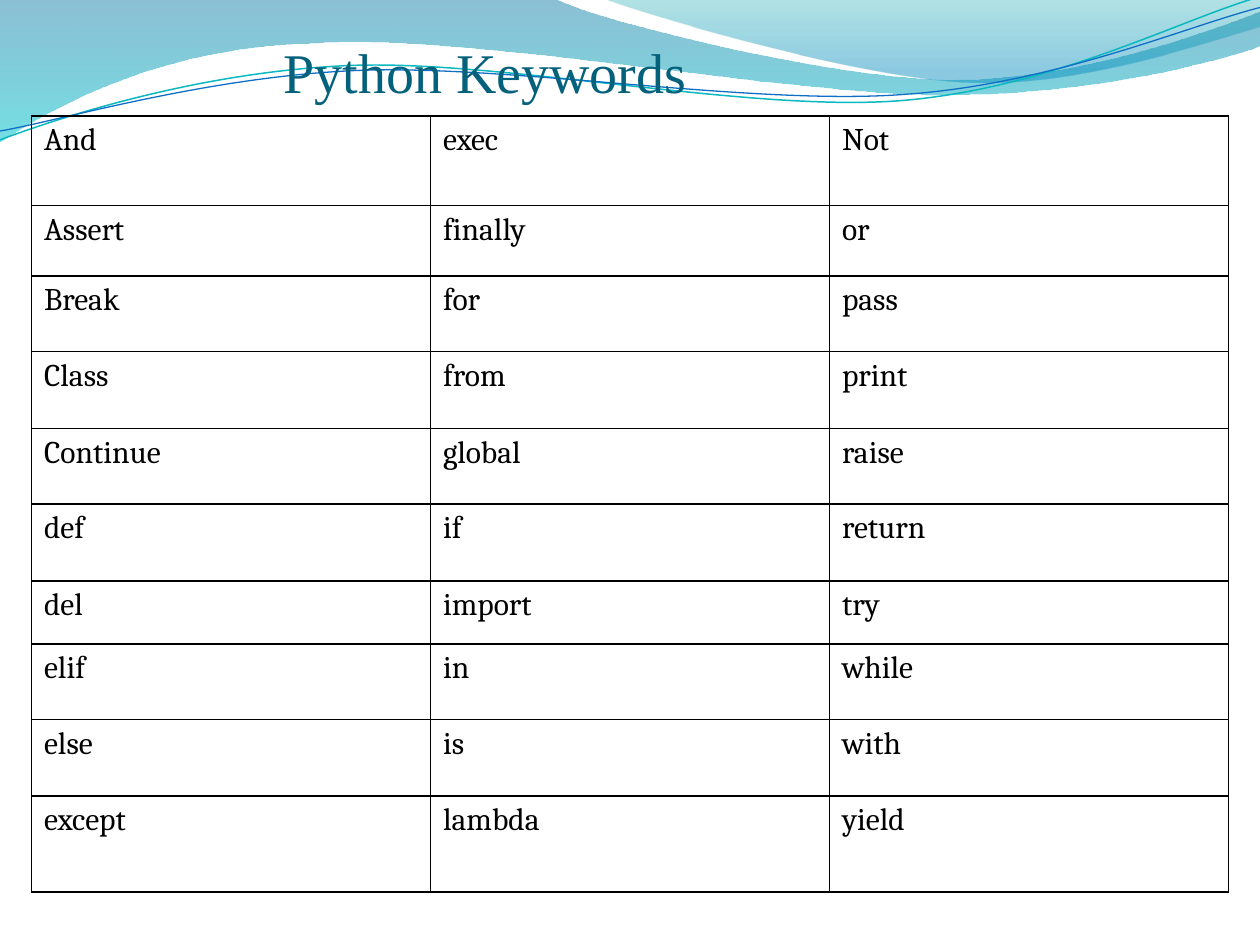
from itertools import chain
from math import cos, radians, sin

from lxml.etree import SubElement
from pptx import Presentation
from pptx.dml.color import RGBColor
from pptx.enum.text import MSO_ANCHOR, MSO_AUTO_SIZE, PP_ALIGN
from pptx.oxml.ns import qn
from pptx.util import Inches, Pt

BLACK = RGBColor(0x00, 0x00, 0x00)
TITLE_TEAL = RGBColor(0x04, 0x61, 0x7B)
DEEP_BLUE = RGBColor(0x00, 0x74, 0xA1)
AQUA = RGBColor(0x00, 0xC6, 0xCF)
SEA_GREEN = RGBColor(0x00, 0xA1, 0xA9)
SKY_BLUE = RGBColor(0x00, 0x8B, 0xBF)
LINE_TEAL = RGBColor(0x0A, 0xB8, 0xBF)
LINE_BLUE = RGBColor(0x0F, 0x6F, 0xC6)

STRAND_TILT = 2.7  # degrees, counter-clockwise

# Each path is a list of segments: one point is a move or line, three a Bézier curve.
# Each gradient stop is position, colour, opacity in percent.
BANDS = [
    ([[(0, 0)], [(4.4, -0.01)],
      [(4.76, 0.17), (6.64, 0.63), (7.58, 0.63)],
      [(8.53, 0.63), (9.58, 0.26), (10, 0.09)], [(10.01, 0.36)],
      [(9.83, 0.44), (8.7, 0.76), (7.46, 0.75)],
      [(6.22, 0.75), (3.82, 0.28), (2.57, 0.34)],
      [(1.29, 0.36), (0.46, 0.83), (-0.01, 1.13)], [(0, 0)]],
     [(0, DEEP_BLUE, 45), (1, AQUA, 55)]),
    ([[(4.79, -0.01)],
      [(5.09, 0.11), (6.82, 0.62), (7.69, 0.65)],
      [(8.56, 0.69), (9.61, 0.32), (10, 0.21)], [(10, 0)], [(4.79, -0.01)]],
     [(0, SEA_GREEN, 30), (0.8, SKY_BLUE, 45)]),
]
# Each strand is a path, the centre it is tilted about, its colour and its width.
STRANDS = [
    ([[(0, 1.11)],
      [(0.48, 0.93), (1.58, 0.57), (2.77, 0.52)],
      [(3.95, 0.47), (5.93, 0.89), (7.13, 0.8)],
      [(8.33, 0.71), (9.38, 0.15), (9.98, -0.02)]], (4.99, 0.58), LINE_TEAL, 0.85),
    ([[(0, 1.04)],
      [(0.47, 0.96), (1.64, 0.61), (2.83, 0.56)],
      [(4.03, 0.51), (5.97, 0.84), (7.17, 0.75)],
      [(8.36, 0.67), (9.41, 0.21), (10, 0.06)]], (5, 0.59), LINE_BLUE, 0.75),
]

KEYWORDS = [
    ("And", "exec", "Not"),
    ("Assert", "finally", "or"),
    ("Break", "for", "pass"),
    ("Class", "from", "print"),
    ("Continue", "global", "raise"),
    ("def", "if", "return"),
    ("del", "import", "try"),
    ("elif", "in", "while"),
    ("else", "is", "with"),
    ("except", "lambda", "yield"),
]
ROW_HEIGHTS = [0.71, 0.56, 0.6, 0.61, 0.6, 0.61, 0.5, 0.6, 0.61, 0.76]


def set_format(target, values):
    for name, value in values.items():
        setattr(target, name, value)


def turn(path, center, degrees):
    """Return the path turned clockwise about a centre."""
    c, s = cos(radians(degrees)), sin(radians(degrees))
    cx, cy = center
    return [[(cx + (x - cx) * c - (y - cy) * s, cy + (x - cx) * s + (y - cy) * c)
             for x, y in segment] for segment in path]


def add_path(s, path, close):
    """Add a freeform through all points, then join curve points into Bézier segments."""
    points = [(Inches(x), Inches(y)) for x, y in chain.from_iterable(path)]
    builder = s.shapes.build_freeform(*points[0])
    builder.add_line_segments(points[1:], close=close)
    sp = builder.convert_to_shape()
    sp.shadow.inherit = False
    lines = iter(list(sp._element.iter(qn("a:lnTo"))))
    for segment in path[1:]:
        first, *others = [next(lines) for _ in segment]
        if others:
            first.tag = qn("a:cubicBezTo")
        for line in others:
            first.append(line[0])
            line.getparent().remove(line)
    return sp


def add_waves(s):
    for path, stops in BANDS:
        sp = add_path(s, path, close=True)
        sp.line.fill.background()
        sp.fill.gradient()
        sp.fill.gradient_angle = 270
        for stop, (position, color, _) in zip(sp.fill.gradient_stops, stops):
            stop.position = position
            stop.color.rgb = color
        for clr, (_, _, opacity) in zip(sp._element.spPr.iter(qn("a:srgbClr")), stops):
            SubElement(clr, qn("a:alpha"), val=str(opacity * 1000))
    for path, center, color, width in STRANDS:
        sp = add_path(s, turn(path, center, STRAND_TILT), close=False)
        sp.rotation = -STRAND_TILT
        sp.fill.background()
        sp.line.color.rgb = color
        sp.line.width = Pt(width)


def add_title(s, left, top, width, height):
    title = s.shapes.title
    s.shapes._spTree.append(title._element)  # in front of the waves
    set_format(title, dict(left=left, top=top, width=width, height=height))
    tf = title.text_frame
    tf.text = "Python Keywords"
    set_format(tf, dict(margin_left=0, margin_right=0, margin_top=Inches(0.05),
                        margin_bottom=0, vertical_anchor=MSO_ANCHOR.BOTTOM,
                        word_wrap=True, auto_size=MSO_AUTO_SIZE.NONE))
    p = tf.paragraphs[0]
    p.alignment = PP_ALIGN.LEFT
    font = p.runs[0].font
    set_format(font, dict(name="Times New Roman", size=Pt(32)))
    font.color.rgb = TITLE_TEAL


def add_borders(cell):
    tc_pr = cell._tc.get_or_add_tcPr()
    for side in ("lnL", "lnR", "lnT", "lnB"):
        ln = SubElement(tc_pr, qn(f"a:{side}"), w=str(Pt(1)))
        fill = SubElement(ln, qn("a:solidFill"))
        SubElement(fill, qn("a:srgbClr"), val=str(BLACK))


def add_keyword_table(s, left, top, width):
    columns = len(KEYWORDS[0])
    table = s.shapes.add_table(len(KEYWORDS), columns, left, top, width,
                               Inches(sum(ROW_HEIGHTS))).table
    set_format(table, dict(first_row=False, horz_banding=False))
    for column in table.columns:
        column.width = width // columns
    for row, height, words in zip(table.rows, ROW_HEIGHTS, KEYWORDS):
        row.height = Inches(height)
        for cell, word in zip(row.cells, words):
            cell.text = word
            add_borders(cell)
            cell.fill.background()
            font = cell.text_frame.paragraphs[0].runs[0].font
            set_format(font, dict(name="Cambria", size=Pt(18)))
            font.color.rgb = BLACK


def main():
    prs = Presentation()
    set_format(prs, dict(slide_width=Inches(10), slide_height=Inches(7.5)))
    s = prs.slides.add_slide(prs.slide_layouts[5])
    add_waves(s)
    add_title(s, Inches(2.25), Inches(0.25), Inches(6.17), Inches(0.58))
    add_keyword_table(s, Inches(0.25), Inches(0.92), Inches(9.5))
    prs.save("out.pptx")


if __name__ == "__main__":
    main()
